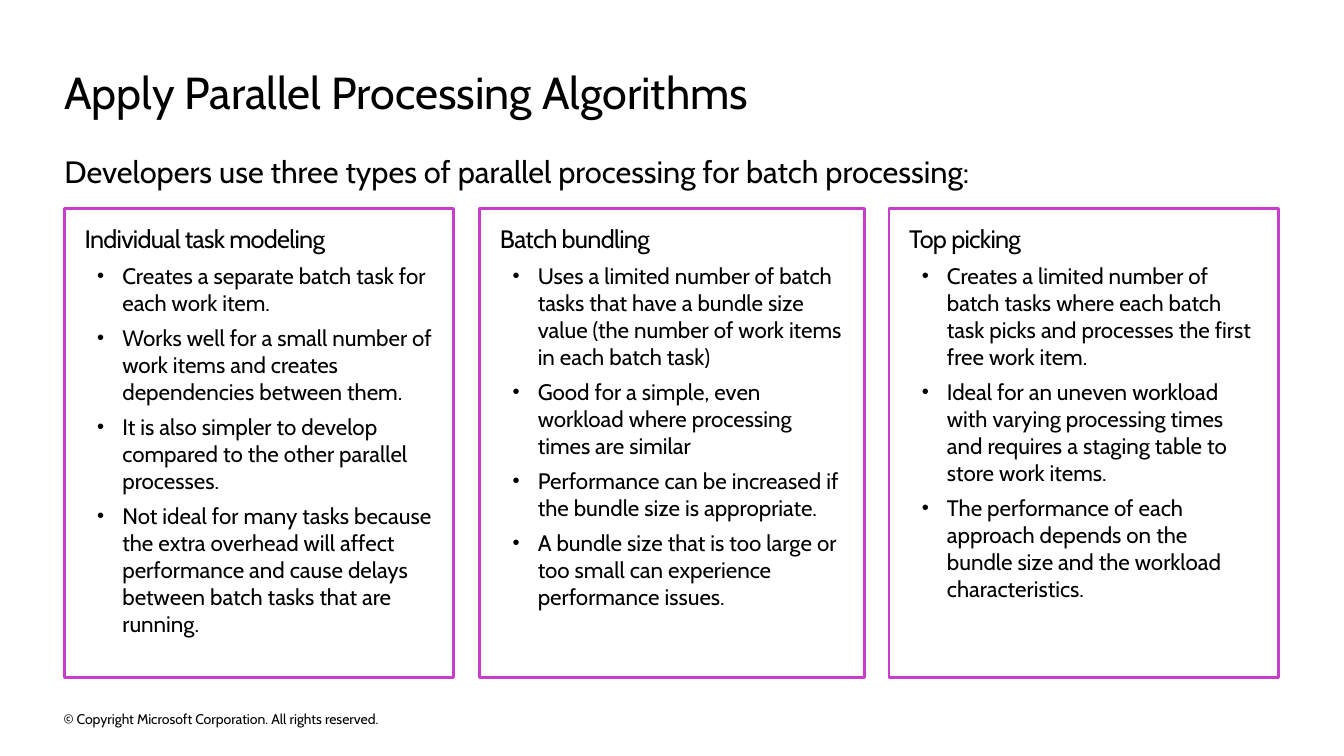
"""Build a slide on three parallel processing algorithms for batch work."""
from dataclasses import dataclass

from lxml.etree import SubElement
from pptx import Presentation
from pptx.dml.color import RGBColor
from pptx.enum.shapes import MSO_SHAPE as Shape
from pptx.enum.text import MSO_ANCHOR as Anchor, PP_ALIGN as Align
from pptx.oxml.ns import qn
from pptx.util import Pt


@dataclass(frozen=True)
class Theme:
    font: str = "Cabin"
    ink: RGBColor = RGBColor(0, 0, 0)
    accent: RGBColor = RGBColor(0xC7, 0x3E, 0xCC)
    title: int = 32
    subtitle: int = 22
    heading: int = 18
    body: int = 16
    footer: int = 10


THEME = Theme()
MARGIN = 46
CONTENT_WIDTH = 867
CARD_TOP = 149
CARD_HEIGHT = 334.8

CARDS = [
    (MARGIN, 278, "Individual task modeling", [
        "Creates a separate batch task for each work item.",
        "Works well for a small number of work items and creates dependencies between them.",
        "It is also simpler to develop compared to the other parallel processes.",
        "Not ideal for many tasks because the extra overhead will affect performance "
        "and cause delays between batch tasks that are running.",
    ]),
    (342.7, 275, "Batch bundling", [
        "Uses a limited number of batch tasks that have a bundle size value "
        "(the number of work items in each batch task)",
        "Good for a simple, even workload where processing times are similar",
        "Performance can be increased if the bundle size is appropriate.",
        "A bundle size that is too large or too small can experience performance issues.",
    ]),
    (635, 278, "Top picking", [
        "Creates a limited number of batch tasks where each batch task picks "
        "and processes the first free work item.",
        "Ideal for an uneven workload with varying processing times "
        "and requires a staging table to store work items.",
        "The performance of each approach depends on the bundle size "
        "and the workload characteristics.",
    ]),
]


def write(paragraph, text, *, size, bullet=False, after=0, tracking=0):
    if bullet:
        paragraph.level = 1
        properties = paragraph._p.get_or_add_pPr()
        properties.set("marL", str(Pt(27)))
        properties.set("indent", str(-Pt(18)))
        SubElement(properties, qn("a:buSzPct"), val="90000")
        SubElement(properties, qn("a:buFont"), typeface="Arial")
        SubElement(properties, qn("a:buChar"), char="•")
    paragraph.alignment = Align.LEFT
    paragraph.space_after = Pt(after)
    run = paragraph.add_run()
    run.text = text
    run.font.name = THEME.font
    run.font.size = Pt(size)
    run.font.color.rgb = THEME.ink
    if tracking:
        run._r.get_or_add_rPr().set("spc", str(int(tracking * 100)))


def set_frame(frame, *, side=0, end=0, anchor=Anchor.TOP):
    frame.word_wrap = True
    frame.vertical_anchor = anchor
    frame.margin_left = frame.margin_right = Pt(side)
    frame.margin_top = frame.margin_bottom = Pt(end)


def add_label(slide, text, left, top, width, height, *, size, anchor=Anchor.TOP):
    box = slide.shapes.add_textbox(Pt(left), Pt(top), Pt(width), Pt(height))
    set_frame(box.text_frame, anchor=anchor)
    write(box.text_frame.paragraphs[0], text, size=size)


def add_card(slide, left, width, heading, points):
    card = slide.shapes.add_shape(
        Shape.RECTANGLE, Pt(left), Pt(CARD_TOP), Pt(width), Pt(CARD_HEIGHT))
    card.shadow.inherit = False
    card.fill.background()
    card.line.color.rgb = THEME.accent
    card.line.width = Pt(2)
    frame = card.text_frame
    set_frame(frame, side=14.4, end=10.8)
    write(frame.paragraphs[0], heading, size=THEME.heading, after=6, tracking=-0.5)
    for point in points:
        write(frame.add_paragraph(), point, size=THEME.body, bullet=True, after=6)


def main():
    presentation = Presentation()
    presentation.slide_width, presentation.slide_height = Pt(960), Pt(540)
    slide = presentation.slides.add_slide(presentation.slide_layouts[6])
    add_label(slide, "Apply Parallel Processing Algorithms",
              MARGIN, 46, CONTENT_WIDTH, 39, size=THEME.title)
    add_label(slide, "Developers use three types of parallel processing for batch processing:",
              MARGIN, 109.4, CONTENT_WIDTH, 26.6, size=THEME.subtitle)
    for left, width, heading, points in CARDS:
        add_card(slide, left, width, heading, points)
    add_label(slide, "© Copyright Microsoft Corporation. All rights reserved.",
              45.4, 505.4, 327, 16, size=THEME.footer, anchor=Anchor.MIDDLE)
    presentation.save("out.pptx")


if __name__ == "__main__":
    main()
